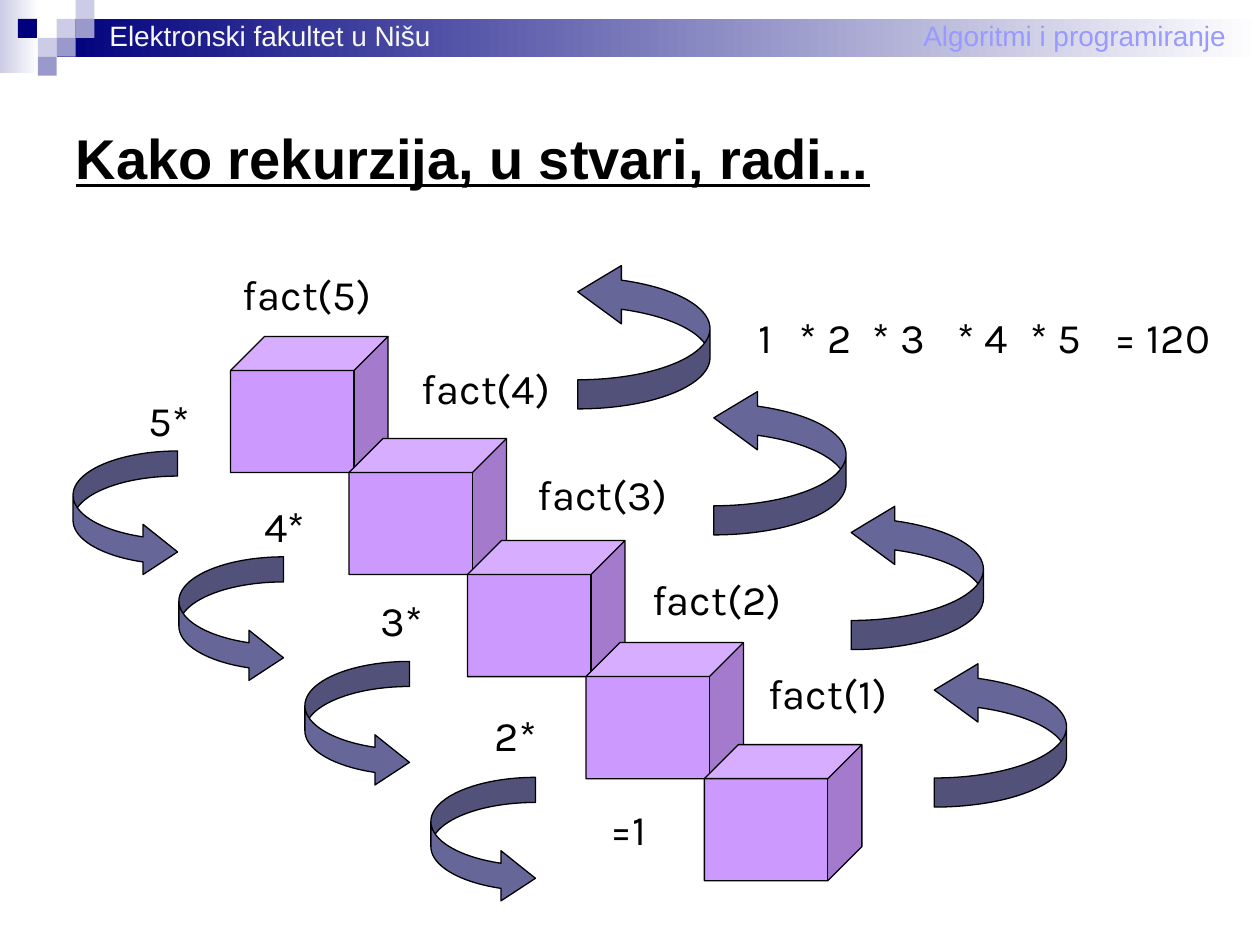
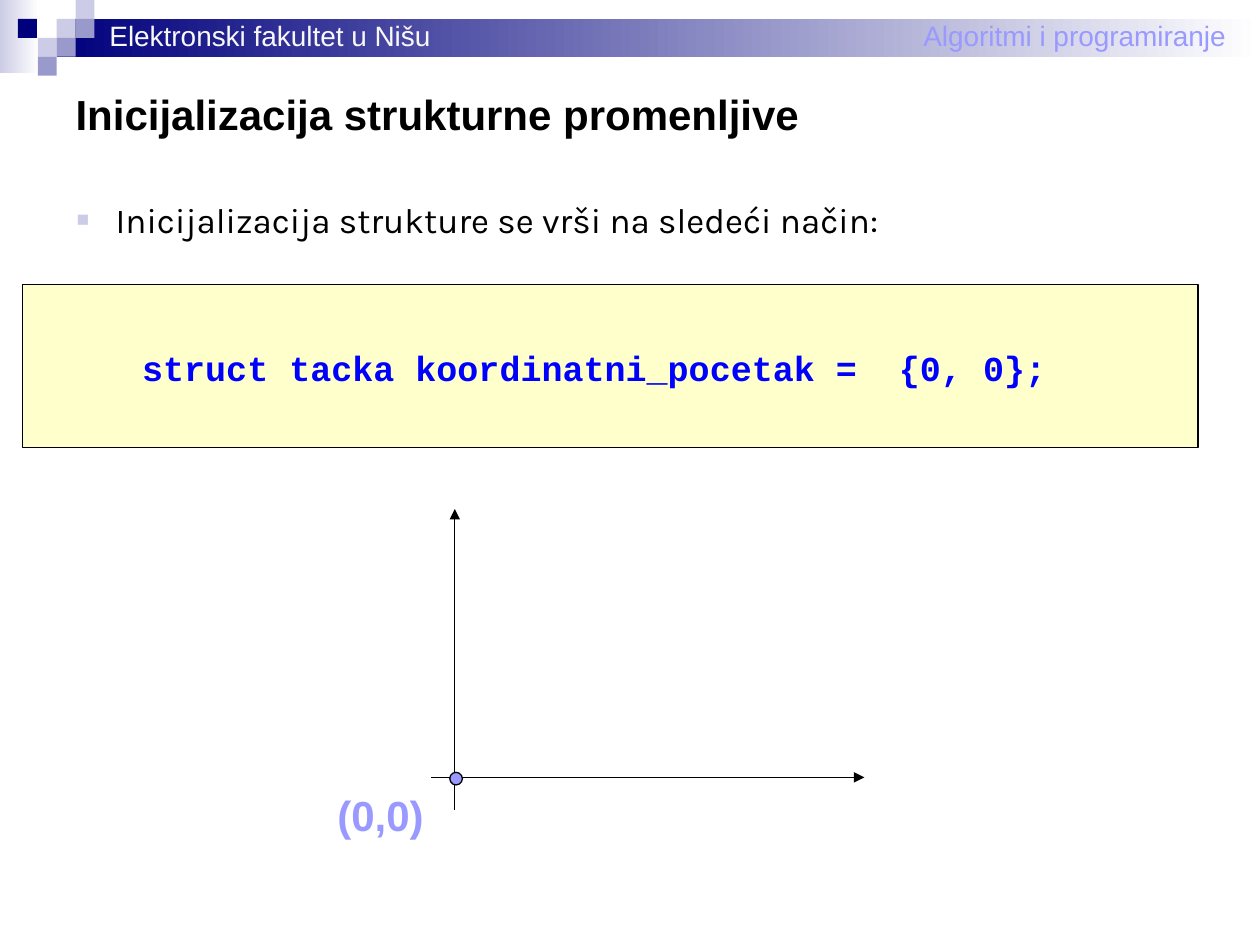
from lxml.etree import SubElement as Sub
from pptx import Presentation
from pptx.dml.color import RGBColor
from pptx.enum.shapes import MSO_CONNECTOR as Conn, MSO_SHAPE as Kind
from pptx.enum.text import MSO_ANCHOR as Anchor, PP_ALIGN as Align
from pptx.oxml.ns import qn
from pptx.util import Inches, Pt

BLACK, NAVY, WHITE = "000000", "00007D", "FFFFFF"
PALE, MID, LILAC = "CCCCE6", "9999CC", "9999FF"
UNIT = 0.15  # side of a header square


def rgb(code):
    return RGBColor.from_string(code)


def style(para, size, color, font="Arial", bold=False, under=False):
    face = para.font
    face.name, face.size, face.color.rgb = font, Pt(size), rgb(color)
    face.bold, face.underline = bold, under


def box(slide, kind, area, fill, line=None):
    shape = slide.shapes.add_shape(kind, *map(Inches, area))
    shape.shadow.inherit = False
    if isinstance(fill, tuple):
        shape.fill.gradient()
        shape.fill.gradient_angle = 0
        for stop, code in zip(shape.fill.gradient_stops, fill):
            stop.color.rgb = rgb(code)
    else:
        shape.fill.solid()
        shape.fill.fore_color.rgb = rgb(fill)
    if line:
        shape.line.color.rgb = rgb(line)
        shape.line.width = Pt(0.75)
    else:
        shape.line.fill.background()
    return shape


def label(slide, text, area, size, color, font="Arial", bold=False, wrap=False):
    frame = slide.shapes.add_textbox(*map(Inches, area)).text_frame
    frame.word_wrap = wrap
    para = frame.paragraphs[0]
    para.text = text
    style(para, size, color, font, bold)
    return para


def bullet(para, indent, color):
    props = para._p.get_or_add_pPr()
    props.set("marL", str(Inches(indent)))
    props.set("indent", str(-Inches(indent)))
    tint = Sub(props, qn("a:buClr"))
    Sub(tint, qn("a:srgbClr"), val=color)
    Sub(props, qn("a:buSzPct"), val="60000")
    Sub(props, qn("a:buFont"), typeface="Arial")
    Sub(props, qn("a:buChar"), char="■")


def curl(slide, kind, area, adjust, turn=0):
    shape = box(slide, kind, area, "666699", BLACK)
    for i, value in enumerate(adjust):
        shape.adjustments[i] = value
    shape.rotation = turn


def axis(slide, start, end):
    line = slide.shapes.add_connector(Conn.STRAIGHT, *map(Inches, start + end))
    line.line.color.rgb = rgb(BLACK)
    line.line.width = Pt(0.75)
    Sub(line.line._get_or_add_ln(), qn("a:tailEnd"), type="triangle")
    Sub(line._element.spPr, qn("a:effectLst"))


def header(slide):
    box(slide, Kind.RECTANGLE, (0, 0, 0.31, 0.58), (PALE, WHITE))
    box(slide, Kind.RECTANGLE, (0.45, UNIT, 9.55, 0.3), (NAVY, WHITE))
    # Checker squares, by column and row
    for col, row, color in ((3, 1, PALE), (4, 0, PALE), (4, 1, MID), (2, 2, PALE),
                            (0.95, 1, NAVY), (3, 2, MID), (2, 3, MID)):
        box(slide, Kind.RECTANGLE, (col * UNIT, row * UNIT, UNIT, UNIT), color)
    label(slide, "Algoritmi i programiranje", (7.23, 0.1, 2.6, 0.37), 16, LILAC)
    label(slide, "Elektronski fakultet u Nišu", (0.77, 0.1, 2.75, 0.37), 16, "F8F8F8")


def start(deck, text, area, size, under=False):
    slide = deck.slides.add_slide(deck.slide_layouts[5])
    header(slide)
    title = slide.shapes.title
    title.left, title.top, title.width, title.height = map(Inches, area)
    title.text_frame.text = text
    title.text_frame.vertical_anchor = Anchor.MIDDLE
    para = title.text_frame.paragraphs[0]
    para.alignment = Align.LEFT
    style(para, size, BLACK, bold=True, under=under)
    return slide


def recur(deck):
    slide = start(deck, "Kako rekurzija, u stvari, radi...", (0.5, 0.5, 9, 1.5), 32, True)

    # Staircase of calls
    for i in range(5):
        box(slide, Kind.CUBE, (1.83 + 0.94 * i, 2.67 + 0.81 * i, 1.25, 1.08),
            "CC99FF", BLACK)

    # Calls, factors and the product
    notes = (
        ("fact(5)", 1.83, 2.08, 1.42), ("fact(4)", 3.25, 2.83, 1.42),
        ("fact(3)", 4.17, 3.67, 1.42), ("fact(2)", 5.08, 4.5, 1.42),
        ("fact(1)", 6, 5.25, 1.42),
        ("5*", 1.08, 3.08, 0.67), ("4*", 2, 3.92, 0.67), ("3*", 2.92, 4.67, 0.67),
        ("2*", 3.83, 5.58, 0.67), ("=1", 4.75, 6.33, 0.67),
        ("1", 5.92, 2.42, 0.33), ("* 2", 6.25, 2.42, 0.75), ("* 3", 6.83, 2.42, 0.83),
        ("* 4", 7.5, 2.42, 0.92), ("* 5", 8.08, 2.42, 0.83), ("= 120", 8.75, 2.42, 1.25),
    )
    for text, x, y, width in notes:
        label(slide, text, (x, y, width, 0.5), 24, BLACK, "Karla", wrap=True)

    # Arrows down the calls, then back up with the results
    for x, y in ((0.58, 3.58), (1.42, 4.42), (2.42, 5.25), (3.42, 6.17)):
        curl(slide, Kind.CURVED_RIGHT_ARROW, (x, y, 0.83, 1), (0.24, 0.48, 0.33))
    for x, y in ((7.36, 5.3), (6.7, 4.05), (5.61, 3.14), (4.53, 2.14)):
        curl(slide, Kind.CURVED_UP_ARROW, (x, y, 1.16, 1.05), (0.22, 0.44, 0.33), 270)


def struct(deck):
    slide = start(deck, "Inicijalizacija strukturne promenljive", (0.5, 0.65, 9, 0.5), 24)
    para = label(slide, "Inicijalizacija strukture se vrši na sledeći način:",
                 (0.51, 1.56, 8.96, 0.88), 20, BLACK, "Karla", wrap=True)
    para.line_spacing = 0.9
    bullet(para, 0.31, PALE)

    # Code panel
    box(slide, Kind.RECTANGLE, (0.18, 2.26, 9.33, 1.29), "FFFFCC", BLACK)
    label(slide, "struct tacka koordinatni_pocetak =  {0, 0};",
          (1.03, 2.7, 7.38, 0.44), 20, "0000FF", "Courier New", True)

    # Axes and origin
    axis(slide, (3.61, 6.43), (3.61, 4.04))
    axis(slide, (3.42, 6.17), (6.86, 6.17))
    box(slide, Kind.OVAL, (3.57, 6.13, 0.1, 0.1), LILAC, BLACK)
    label(slide, "(0,0)", (2.58, 6.22, 1, 0.5), 24, LILAC, bold=True)


def main():
    deck = Presentation()
    deck.slide_width, deck.slide_height = Inches(10), Inches(7.5)
    recur(deck)
    struct(deck)
    deck.save("out.pptx")


if __name__ == "__main__":
    main()
